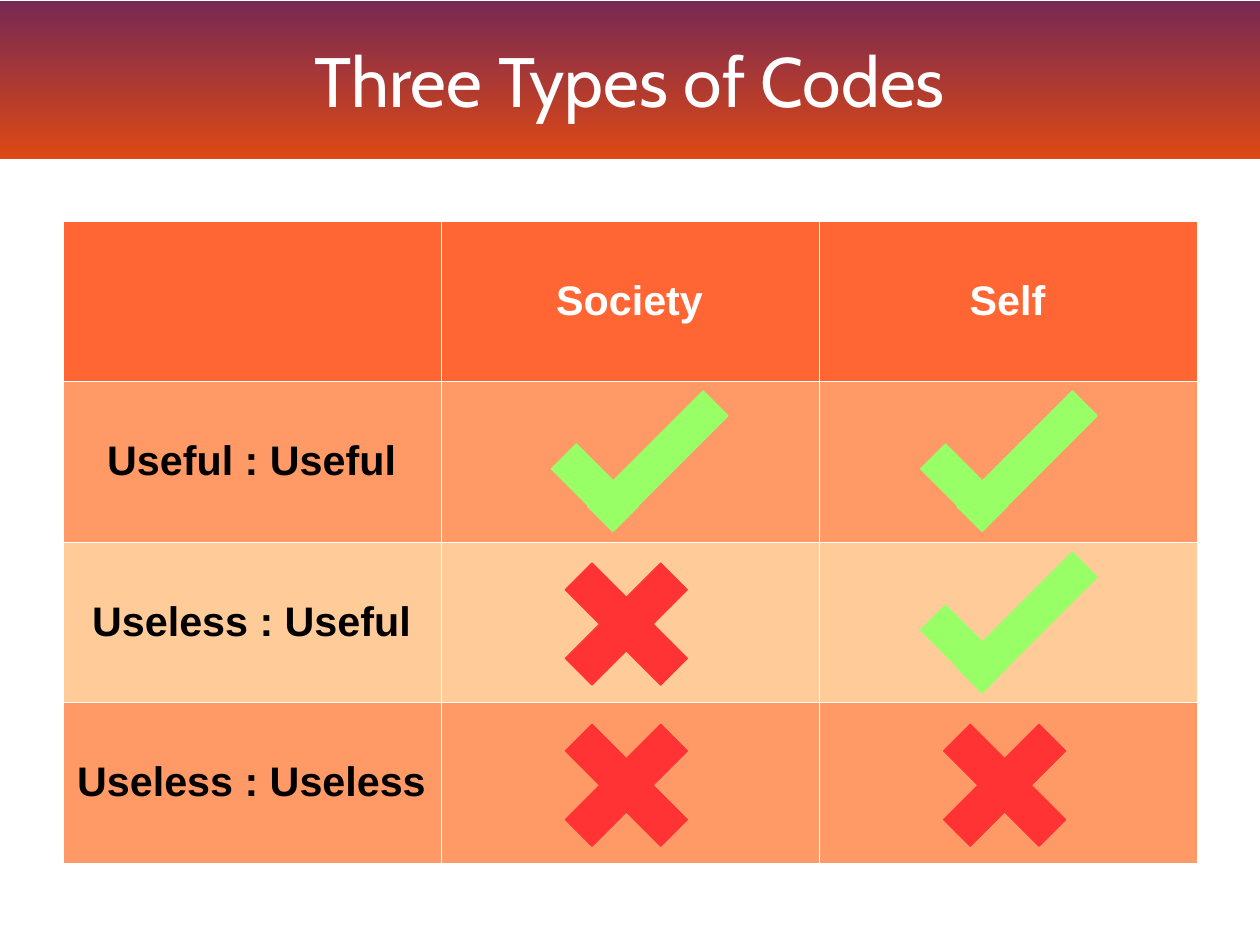
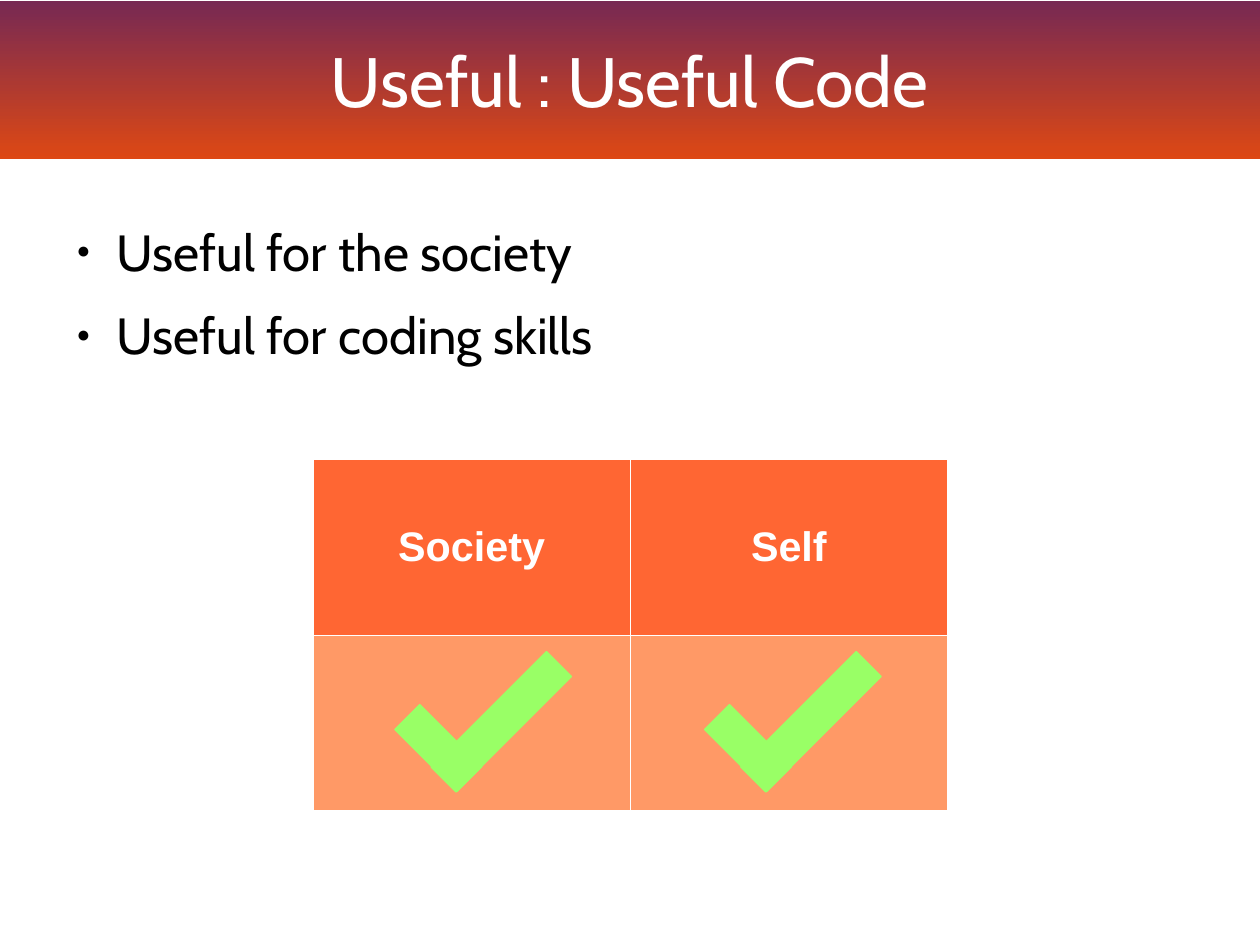
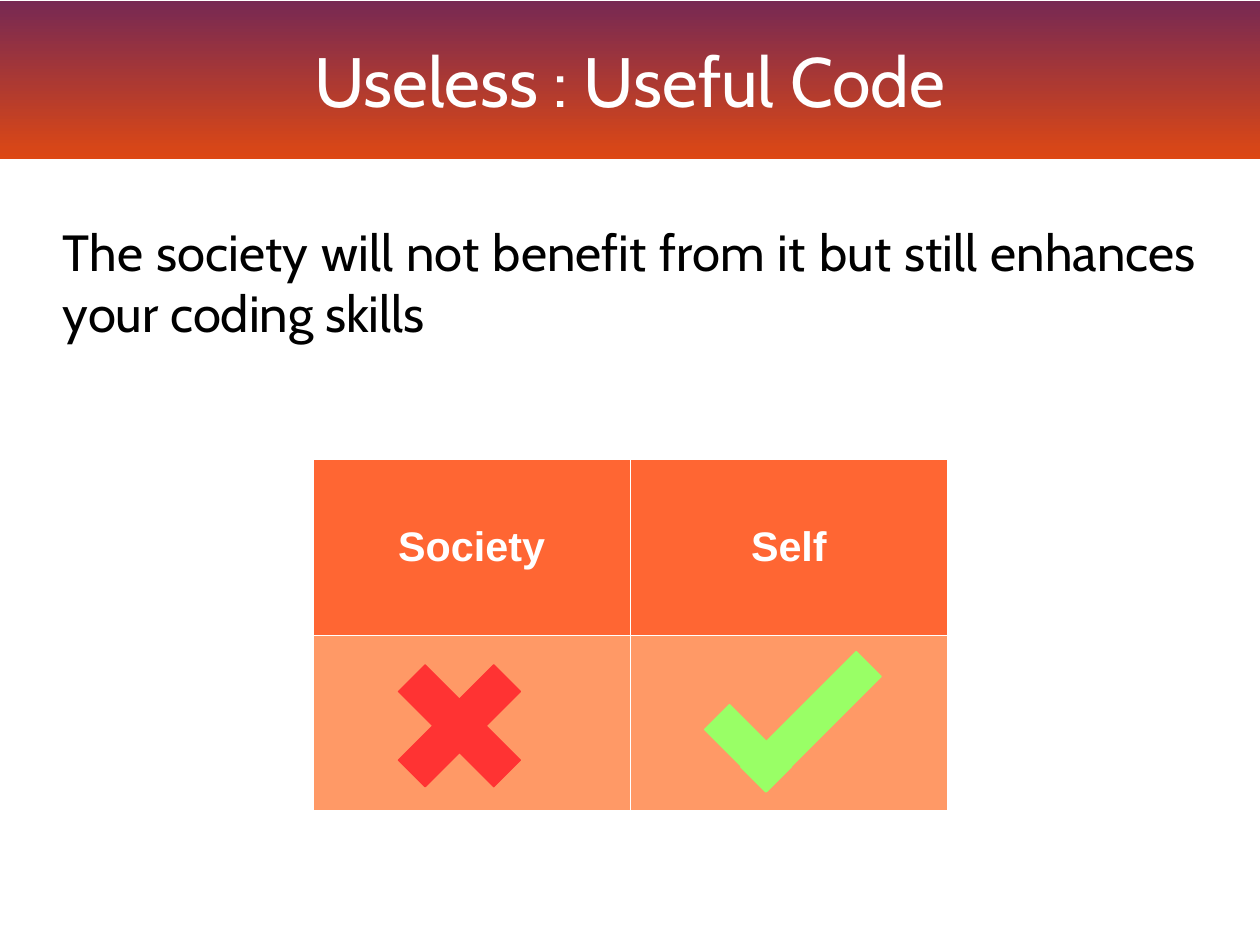
import pptx
import pptx.util
import pptx.dml.color
import pptx.enum.shapes
import pptx.enum.text
import pptx.oxml
import pptx.oxml.ns
from pptx.util import Inches

COLOURS = {
    "orange": "DD4814",
    "purple": "772953",
    "white": "FFFFFF",
    "black": "000000",
    "header": "FF6633",
    "row": "FF9966",
    "pale_row": "FFCC99",
    "check": "99FF66",
    "cross": "FF3333",
}
SLIDE_WIDTH = 28 / 2.54
SLIDE_HEIGHT = 21 / 2.54
MARGIN = 0.55
CONTENT_TOP = 1.93
CONTENT_WIDTH = 9.92
ALIGN = pptx.enum.text.PP_ALIGN
ANCHOR = pptx.enum.text.MSO_ANCHOR
SHAPE = pptx.enum.shapes.MSO_SHAPE


def xml(tag, attributes="", content=""):
    namespace = pptx.oxml.ns.nsdecls("a")
    return pptx.oxml.parse_xml(f"<a:{tag} {namespace} {attributes}>{content}</a:{tag}>")


def rgb(name):
    return pptx.dml.color.RGBColor.from_string(COLOURS[name])


class Deck:
    def __init__(self):
        self.presentation = pptx.Presentation()
        self.presentation.slide_width = Inches(SLIDE_WIDTH)
        self.presentation.slide_height = Inches(SLIDE_HEIGHT)
        self.slide = None

    def place(self, shape, left, top, width, height):
        shape.left, shape.top = Inches(left), Inches(top)
        shape.width, shape.height = Inches(width), Inches(height)

    def format_paragraph(self, paragraph, size, font, colour, align, bold=False):
        paragraph.alignment = align
        for run in paragraph.runs:
            run.font.size = pptx.util.Pt(size)
            run.font.name = font
            run.font.bold = bold
            run.font.color.rgb = rgb(colour)

    def reset_frame(self, frame, anchor):
        frame.margin_left = frame.margin_right = 0
        frame.margin_top = frame.margin_bottom = 0
        frame.word_wrap = True
        frame.auto_size = pptx.enum.text.MSO_AUTO_SIZE.NONE
        frame.vertical_anchor = anchor

    def new_slide(self, title, has_body=False):
        layout = self.presentation.slide_layouts[1 if has_body else 5]
        self.slide = self.presentation.slides.add_slide(layout)
        shape = self.slide.shapes.title
        self.place(shape, 0, 0.01, SLIDE_WIDTH, 1.38)
        shape.fill.gradient()
        shape.fill.gradient_angle = 90
        for stop, colour in zip(shape.fill.gradient_stops, ("orange", "purple")):
            stop.color.rgb = rgb(colour)
        frame = shape.text_frame
        frame.text = title
        self.reset_frame(frame, ANCHOR.MIDDLE)
        self.format_paragraph(frame.paragraphs[0], 44, "Cabin", "white", ALIGN.CENTER)

    def body(self, lines, bulleted):
        shape = self.slide.placeholders[1]
        self.place(shape, MARGIN, CONTENT_TOP, CONTENT_WIDTH, 4.79)
        frame = shape.text_frame
        frame.text = "\n".join(lines)
        self.reset_frame(frame, ANCHOR.TOP)
        for index, paragraph in enumerate(frame.paragraphs):
            paragraph.space_before = pptx.util.Pt(14.2 if index else 0)
            properties = paragraph._p.get_or_add_pPr()
            properties.set("marL", str(int(Inches(0.47 if bulleted else 0))))
            properties.set("indent", str(int(Inches(-0.35 if bulleted else 0))))
            if bulleted:
                colour = f'<a:srgbClr val="{COLOURS["black"]}"/>'
                properties.append(xml("buClr", content=colour))
                properties.append(xml("buSzPct", 'val="45000"'))
                properties.append(xml("buChar", 'char="●"'))
            else:
                properties.append(xml("buNone"))
            self.format_paragraph(paragraph, 32, "Cabin", "black", ALIGN.JUSTIFY)

    def table(self, rows, left, top, width, height):
        fills = ("header", "row", "pale_row", "row")
        table = self.slide.shapes.add_table(
            len(rows), len(rows[0]), Inches(left), Inches(top), Inches(width), Inches(height)
        ).table
        table.first_row = table.horz_banding = False
        for row_index, row in enumerate(rows):
            for column_index, text in enumerate(row):
                cell = table.cell(row_index, column_index)
                cell.fill.solid()
                cell.fill.fore_color.rgb = rgb(fills[row_index])
                cell.vertical_anchor = ANCHOR.MIDDLE
                self.borders(cell)
                if text:
                    cell.text_frame.text = text
                    self.format_paragraph(cell.text_frame.paragraphs[0], 26, "Arial",
                                          "black" if row_index else "white", ALIGN.CENTER, True)

    def borders(self, cell):
        properties = cell._tc.get_or_add_tcPr()
        fill = f'<a:solidFill><a:srgbClr val="{COLOURS["white"]}"/></a:solidFill>'
        for index, side in enumerate("LRTB"):
            properties.insert(index, xml(f"ln{side}", 'w="762"', fill))

    def mark(self, kind, left, top, width, height, rotation, colour):
        shape = self.slide.shapes.add_shape(
            kind, Inches(left), Inches(top), Inches(width), Inches(height))
        shape.shadow.inherit = False
        shape.rotation = rotation
        shape.fill.solid()
        shape.fill.fore_color.rgb = rgb(colour)
        shape.line.color.rgb = rgb(colour)
        shape.line.width = 0
        return shape

    def check(self, left, top):
        self.mark(SHAPE.RECTANGLE, left + 0.78, top, 0.31, 1.43, 45, "check")
        self.mark(SHAPE.RECTANGLE, left, top + 0.79, 0.77, 0.31, 45, "check")

    def cross(self, left, top):
        shape = self.mark(SHAPE.CROSS, left, top, 1.18, 1.18, 315, "cross")
        shape.adjustments[0] = 0.36

    def small_table(self):
        self.table([("Society", "Self"), ("", "")], 2.74, 4.02, 5.55, 3.07)


def main():
    deck = Deck()

    deck.new_slide("Three Types of Codes")
    deck.table([
        ("", "Society", "Self"),
        ("Useful : Useful", "", ""),
        ("Useless : Useful", "", ""),
        ("Useless : Useless", "", ""),
    ], MARGIN, CONTENT_TOP, CONTENT_WIDTH, 5.62)
    row_height = 1.41
    for column, row in ((0, 1), (0, 2), (1, 2)):
        deck.cross(4.89 + 3.31 * column, 3.46 + row_height * row)
    for column, row in ((0, 0), (1, 0), (1, 1)):
        deck.check(4.82 + 3.23 * column, 3.32 + row_height * row)

    deck.new_slide("Useful : Useful Code", has_body=True)
    deck.body(["Useful for the society", "Useful for coding skills"], bulleted=True)
    deck.small_table()
    for left in (3.45, 6.16):
        deck.check(left, 5.6)

    deck.new_slide("Useless : Useful Code", has_body=True)
    deck.body(["The society will not benefit from it but still enhances your coding skills"],
              bulleted=False)
    deck.small_table()
    deck.cross(3.43, 5.76)
    deck.check(6.16, 5.6)

    deck.presentation.save("out.pptx")


if __name__ == "__main__":
    main()
